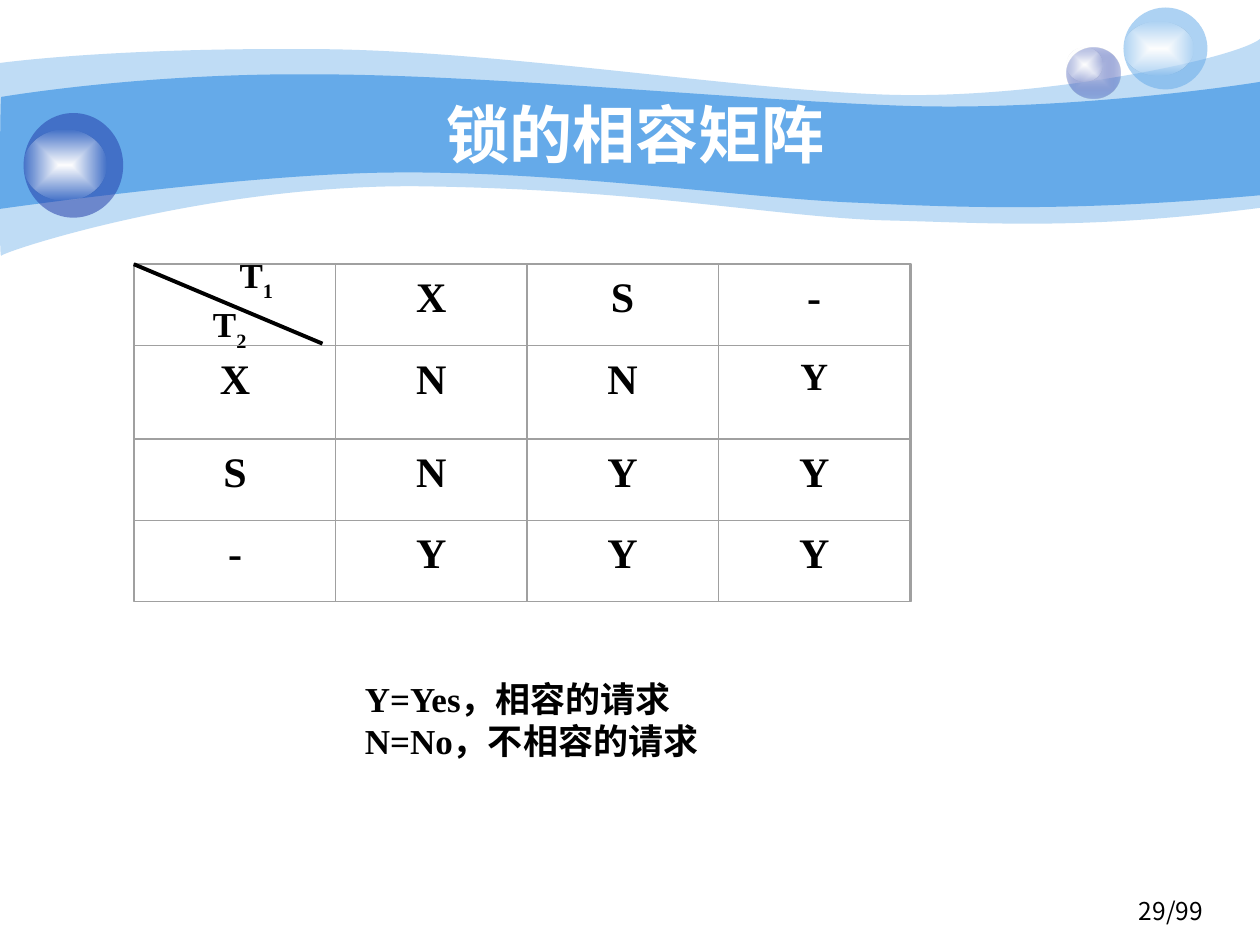
from itertools import accumulate

from lxml import etree
from pptx import Presentation
from pptx.dml import color
from pptx.enum import shapes, text
from pptx.oxml import ns
from pptx.util import Pt

COLORS = {"sky": "65AAE9", "navy": "233DA9", "mist": "C7CEE9", "white": "FFFFFF", "black": "000000", "grid": "A0A0A0"}
CJK_FONT = "Noto Sans CJK SC"
SERIF = "Times New Roman"
FORMATS = {
    "title": {"size": Pt(36), "name": "Arial", "bold": True},
    "legend": {"size": Pt(20), "name": SERIF, "bold": True},
    "cell": {"size": Pt(24), "name": SERIF, "bold": True},
    "small cell": {"size": Pt(22), "name": SERIF, "bold": True},
    "page": {"size": Pt(14), "name": CJK_FONT, "bold": False},
}
ALIGN = text.PP_ALIGN
DRAWING = ns.nsdecls("a")


def paint(shape, stops):
    shape.shadow.inherit = False
    shape.line.fill.background()
    shape.fill.solid()
    tints = [
        f'<a:srgbClr val="{COLORS[name]}"><a:alpha val="{alpha * 1000}"/></a:srgbClr>'
        for name, alpha in stops
    ]
    if len(tints) == 1:
        markup = f"<a:solidFill {DRAWING}>{tints[0]}</a:solidFill>"
    else:
        markup = (
            f'<a:gradFill {DRAWING} rotWithShape="1"><a:gsLst>'
            f'<a:gs pos="0">{tints[0]}</a:gs><a:gs pos="100000">{tints[1]}</a:gs></a:gsLst>'
            '<a:path path="rect"><a:fillToRect l="50000" t="50000" r="50000" b="50000"/></a:path></a:gradFill>'
        )
    properties = shape._element.spPr
    properties.replace(properties.find(ns.qn("a:solidFill")), etree.fromstring(markup))


def write(paragraph, words, style, ink="black", align=ALIGN.LEFT):
    paragraph.alignment = align
    run = paragraph.add_run()
    run.text = words
    for attribute, value in FORMATS[style].items():
        setattr(run.font, attribute, value)
    run.font.color.rgb = color.RGBColor.from_string(COLORS[ink])
    etree.SubElement(run._r.get_or_add_rPr(), ns.qn("a:ea")).set("typeface", CJK_FONT)
    return run


presentation = Presentation()
presentation.slide_width, presentation.slide_height = Pt(720), Pt(540)
slide = presentation.slides.add_slide(presentation.slide_layouts[6])

waves = [
    (41, (0, 36), [
        [(17.3, 33.8), (77, 27.4), (177.8, 28.1)],
        [(277.9, 28.1), (414, 50.4), (503.3, 54)],
        [(591.8, 57.6), (705.6, 33.8), (720, 22.3)],
        [(720, 118.8)],
        [(617.8, 131.8), (566.6, 127.4), (507.6, 126)],
        [(447.8, 124.6), (370.8, 108.7), (247, 106.6)],
        [(123.8, 103.7), (2.9, 143.3), (0.7, 146.2)],
        [(-0.7, 149.8), (0, 54), (0, 36)],
    ]),
    (100, (0.7, 55.4), [
        [(1.4, 55.4), (79.2, 41.8), (178.6, 42.5)],
        [(277.9, 42.5), (428.4, 57.6), (517, 60.5)],
        [(605.5, 63.4), (702.7, 49.7), (720, 46.8)],
        [(720, 111.6)],
        [(614.2, 121), (550.8, 118.8), (491, 115.9)],
        [(431.3, 113.8), (321.8, 97.9), (228.2, 98.6)],
        [(146.2, 98.6), (-1.4, 119.5), (-0.7, 119.5)],
        [(0, 119.5), (0, 55.4), (0.7, 55.4)],
    ]),
]
for alpha, start, segments in waves:
    builder = slide.shapes.build_freeform(*map(Pt, start))
    points = [(Pt(x), Pt(y)) for segment in segments for x, y in segment]
    builder.add_line_segments(points, close=True)
    wave = builder.convert_to_shape()
    vertices = iter(list(wave._element.iter(ns.qn("a:lnTo"))))
    for segment in segments:
        group = [next(vertices) for point in segment]
        if len(segment) == 3:
            curve = etree.Element(ns.qn("a:cubicBezTo"))
            group[0].addprevious(curve)
            for vertex in group:
                curve.append(vertex[0])
                vertex.getparent().remove(vertex)
    paint(wave, [("sky", alpha)])

glow = [("white", 100), ("white", 0)]
bubbles = [
    (609.8, 27.1, 30.6, 29.2, [("mist", 100), ("navy", 31)]),
    (609.8, 27.1, 20.2, 19.4, glow),
    (642, 4.3, 48, 46.8, [("sky", 53)]),
    (642, 12.2, 40.2, 31, glow),
    (13.5, 64.6, 56.9, 59.8, [("navy", 53)]),
    (13.5, 74.2, 47.2, 40.3, glow),
]
for *box, stops in bubbles:
    paint(slide.shapes.add_shape(shapes.MSO_SHAPE.OVAL, *map(Pt, box)), stops)

text_boxes = [
    ((526.5, 508.3, 168, 28.1), ["29/99"], "page", "black", ALIGN.RIGHT),
    ((72, 54, 581.8, 44.6), ["锁的相容矩阵"], "title", "white", ALIGN.CENTER),
    ((201.4, 383.4, 221, 87.1), ["Y=Yes，相容的请求", "N=No，不相容的请求"], "legend", "black", ALIGN.LEFT),
]
for box, lines, style, ink, align in text_boxes:
    text_frame = slide.shapes.add_textbox(*map(Pt, box)).text_frame
    text_frame.word_wrap = True
    if style == "title":
        text_frame.vertical_anchor = text.MSO_ANCHOR.MIDDLE
    for index, line in enumerate(lines):
        paragraph = text_frame.add_paragraph() if index else text_frame.paragraphs[0]
        write(paragraph, line, style, ink, align)

text_frame = slide.shapes.add_textbox(Pt(105.1), Pt(141.1), Pt(63.4), Pt(64.1)).text_frame
text_frame.word_wrap = True
paragraph = text_frame.paragraphs[0]
for attribute, indent in {"marL": 9.5, "indent": 15.2}.items():
    paragraph._p.get_or_add_pPr().set(attribute, str(Pt(indent)))
for subscript in "12":
    write(paragraph, "T", "legend")
    write(paragraph, subscript, "legend").font._element.set("baseline", "-30000")
    if subscript == "1":
        paragraph.add_line_break()

matrix = [["", "X", "S", "-"], ["X", "N", "N", "Y"], ["S", "N", "Y", "Y"], ["-", "Y", "Y", "Y"]]
widths = [114.7, 109.4, 109.4, 109.6]
heights = [46.4, 53.2, 46.5, 46.4]
lefts = list(accumulate(widths, initial=77))
tops = list(accumulate(heights, initial=151.2))
PADDING = 11.2
outlines = []
for i, entries in enumerate(matrix):
    for j, entry in enumerate(entries):
        left, top, width, height = lefts[j], tops[i], widths[j], heights[i]
        if entry:
            box = (left + PADDING, top, width - 2 * PADDING, height)
            text_frame = slide.shapes.add_textbox(*map(Pt, box)).text_frame
            text_frame.word_wrap = True
            style = "small cell" if (i, j) == (1, 3) else "cell"
            write(text_frame.paragraphs[0], entry, style, align=ALIGN.CENTER)
        outlines.append((left, top, width, height, 0))
outlines.append((76.6, 151, 444, 192.8, 0.88))
for *box, weight in outlines:
    outline = slide.shapes.add_shape(shapes.MSO_SHAPE.RECTANGLE, *map(Pt, box))
    outline.shadow.inherit = False
    outline.fill.background()
    outline.line.color.rgb = color.RGBColor.from_string(COLORS["grid"])
    outline.line.width = Pt(weight)

diagonal = slide.shapes.add_connector(shapes.MSO_CONNECTOR.STRAIGHT, Pt(76.5), Pt(151), Pt(184.3), Pt(196.4))
diagonal.line.color.rgb = color.RGBColor.from_string(COLORS["black"])
diagonal.line.width = Pt(2.25)
etree.SubElement(diagonal._element.spPr, ns.qn("a:effectLst"))

presentation.save("out.pptx")
